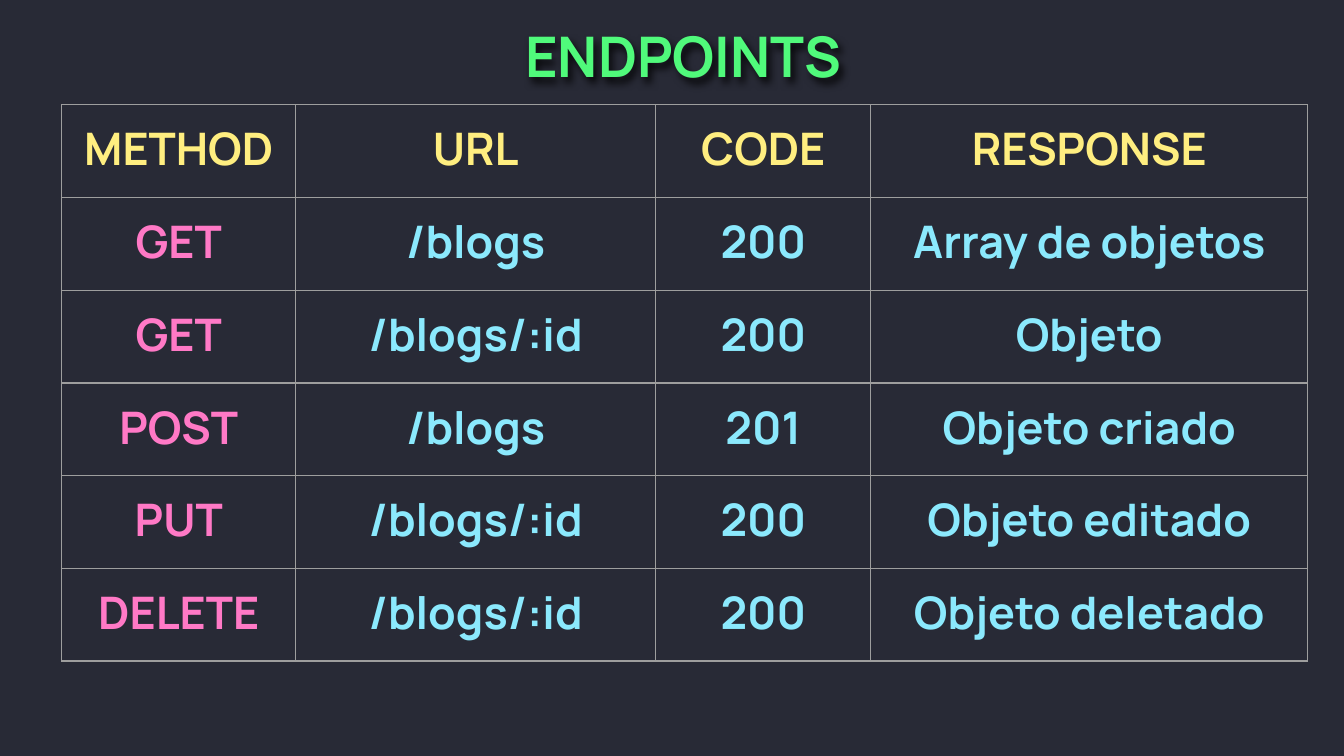
import pptx
import pptx.dml.color
import pptx.enum.text
import pptx.oxml
import pptx.oxml.ns
import pptx.util
from lxml import etree

# Content
HEADING = "ENDPOINTS"
COLUMNS = ["METHOD", "URL", "CODE", "RESPONSE"]
ENDPOINTS = [
    ("GET", "/blogs", "200", "Array de objetos"),
    ("GET", "/blogs/:id", "200", "Objeto"),
    ("POST", "/blogs", "201", "Objeto criado"),
    ("PUT", "/blogs/:id", "200", "Objeto editado"),
    ("DELETE", "/blogs/:id", "200", "Objeto deletado"),
]

# Look and layout, in inches and points
COLORS = {
    "background": "282A36",
    "heading": "50FA7B",
    "column": "FFEE80",
    "method": "FF79C6",
    "detail": "8BE9FD",
    "grid": "9E9E9E",
    "shadow": "000000",
}
FONT = "Manrope"
SLIDE_WIDTH = 10
SLIDE_HEIGHT = SLIDE_WIDTH * 9 / 16
HEADING_BOX = (0.36, 0.06, 9.45, 0.63)
GRID_LEFT, GRID_TOP = 0.46, 0.78
COLUMN_WIDTHS = [1.74, 2.68, 1.6, 3.25]
ROW_HEIGHT = 0.69
INSET = pptx.util.Inches(0.1)
NAMESPACE = pptx.oxml.ns.nsdecls("a")


def rgb(role):
    return pptx.dml.color.RGBColor.from_string(COLORS[role])


def write(frame, words, size, role):
    """Put one centred bold run in a text frame."""
    paragraph = frame.paragraphs[0]
    paragraph.alignment = pptx.enum.text.PP_ALIGN.CENTER
    run = paragraph.add_run()
    run.text = words
    run.font.name = FONT
    run.font.size = pptx.util.Pt(size)
    run.font.bold = True
    run.font.color.rgb = rgb(role)


def set_insets(holder):
    holder.margin_left = holder.margin_right = INSET
    holder.margin_top = holder.margin_bottom = INSET


def add_borders(cell):
    properties = cell._tc.get_or_add_tcPr()
    for side in ("lnL", "lnR", "lnT", "lnB"):
        properties.append(etree.fromstring(
            f'<a:{side} {NAMESPACE} w="{pptx.util.Pt(0.75)}"><a:solidFill>'
            f'<a:srgbClr val="{COLORS["grid"]}"/></a:solidFill></a:{side}>'))


def role_of(row, column):
    if row == 0:
        return "column"
    return "method" if column == 0 else "detail"


deck = pptx.Presentation()
deck.slide_width = pptx.util.Inches(SLIDE_WIDTH)
deck.slide_height = pptx.util.Inches(SLIDE_HEIGHT)
slide = deck.slides.add_slide(deck.slide_layouts[6])
slide.background.fill.solid()
slide.background.fill.fore_color.rgb = rgb("background")

# Heading with a soft shadow
heading = slide.shapes.add_textbox(*map(pptx.util.Inches, HEADING_BOX))
heading.text_frame.word_wrap = True
set_insets(heading.text_frame)
write(heading.text_frame, HEADING, 30, "heading")
heading._element.spPr.append(pptx.oxml.parse_xml(
    f'<a:effectLst {NAMESPACE}><a:outerShdw blurRad="57150" dist="38100" '
    f'dir="3600000" algn="bl" rotWithShape="0"><a:srgbClr val="{COLORS["shadow"]}">'
    '<a:alpha val="80000"/></a:srgbClr></a:outerShdw></a:effectLst>'))

# Endpoint table
rows = [COLUMNS, *ENDPOINTS]
endpoint_table = slide.shapes.add_table(
    len(rows), len(COLUMNS),
    pptx.util.Inches(GRID_LEFT), pptx.util.Inches(GRID_TOP),
    pptx.util.Inches(sum(COLUMN_WIDTHS)),
    pptx.util.Inches(ROW_HEIGHT * len(rows))).table
endpoint_table.first_row = False
endpoint_table.horz_banding = False
for column, width in zip(endpoint_table.columns, COLUMN_WIDTHS):
    column.width = pptx.util.Inches(width)
for row_index, entries in enumerate(rows):
    endpoint_table.rows[row_index].height = pptx.util.Inches(ROW_HEIGHT)
    for column_index, entry in enumerate(entries):
        cell = endpoint_table.cell(row_index, column_index)
        set_insets(cell)
        add_borders(cell)
        cell.fill.background()
        write(cell.text_frame, entry, 24, role_of(row_index, column_index))

deck.save("out.pptx")
